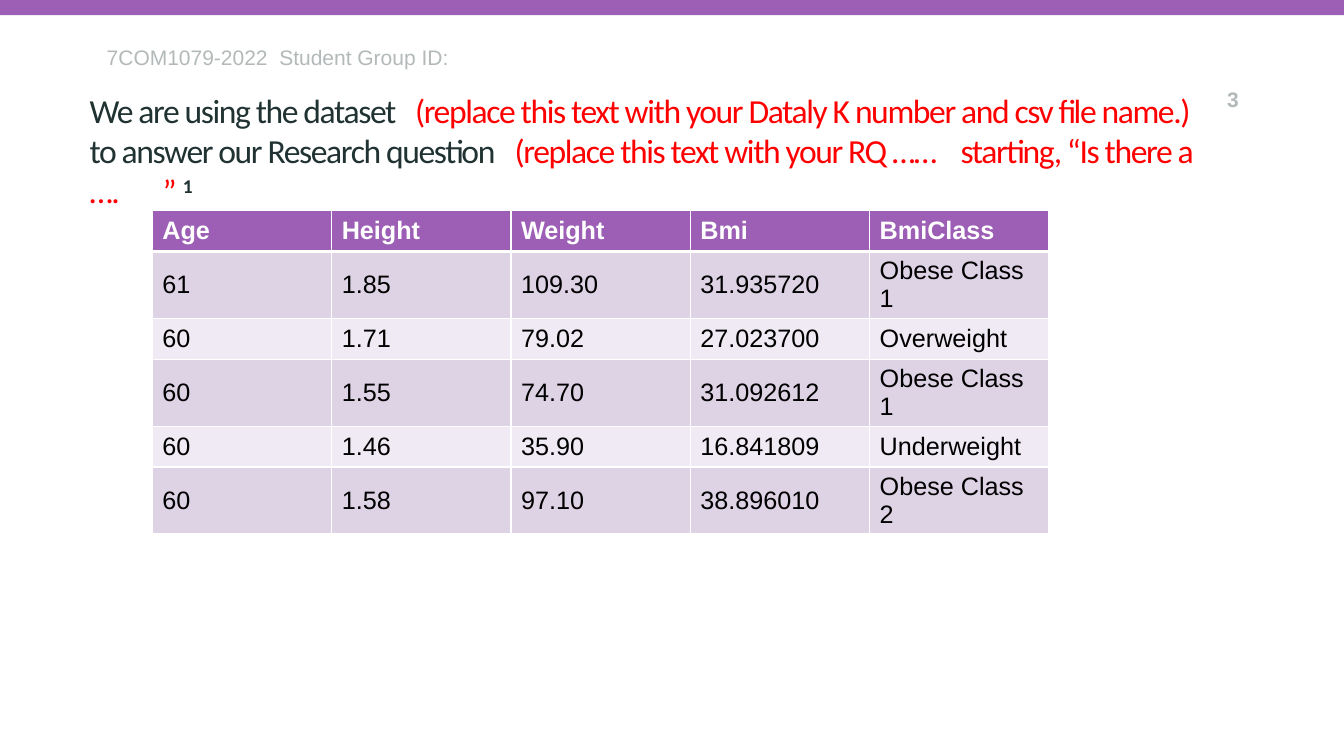
"""Builds the dataset slide with its research question and sample table."""
from lxml import etree
from pptx import Presentation
from pptx.dml.color import RGBColor
from pptx.enum.shapes import MSO_SHAPE
from pptx.enum.text import MSO_ANCHOR, PP_ALIGN
from pptx.oxml.ns import qn
from pptx.util import Cm, Pt

RECT = MSO_SHAPE.RECTANGLE
MIDDLE = MSO_ANCHOR.MIDDLE
LEFT, RIGHT = PP_ALIGN.LEFT, PP_ALIGN.RIGHT

PURPLE, LILAC, PALE = "9C5FB5", "DED2E5", "EFEAF3"
WHITE, BLACK, DARK, RED, GREY = "FFFFFF", "000000", "203232", "FF0000", "B3B9B9"

QUESTION = [
    ("We are using the dataset", DARK),
    ("\t(replace this text with your Dataly K number and csv file name.)", RED),
    (" to answer our Research question", DARK),
    ("\t(replace this text with your RQ ……\tstarting, “Is there a ….\t” ", RED),
]
QUESTION_TABS = [1.84, 8.2, 10.71, 21.95]

PATIENTS = [
    ["Age", "Height", "Weight", "Bmi", "BmiClass"],
    ["61", "1.85", "109.30", "31.935720", "Obese Class 1"],
    ["60", "1.71", "79.02", "27.023700", "Overweight"],
    ["60", "1.55", "74.70", "31.092612", "Obese Class 1"],
    ["60", "1.46", "35.90", "16.841809", "Underweight"],
    ["60", "1.58", "97.10", "38.896010", "Obese Class 2"],
]


def rgb(color):
    return RGBColor.from_string(color)


class Deck:
    font = "Arial"

    def __init__(self, width, height):
        self.prs = Presentation()
        self.prs.slide_width, self.prs.slide_height = Cm(width), Cm(height)
        self.slide = self.prs.slides.add_slide(self.prs.slide_layouts[6])

    def bar(self, x, y, w, h, color):
        sp = self.slide.shapes.add_shape(RECT, Cm(x), Cm(y), Cm(w), Cm(h))
        sp.shadow.inherit = False
        sp.fill.solid()
        sp.fill.fore_color.rgb = rgb(color)
        sp.line.fill.background()

    def text(self, x, y, w, h, align=LEFT):
        tf = self.slide.shapes.add_textbox(Cm(x), Cm(y), Cm(w), Cm(h)).text_frame
        tf.word_wrap = True
        tf.margin_left = tf.margin_top = tf.margin_right = tf.margin_bottom = 0
        p = tf.paragraphs[0]
        p.alignment = align
        return p

    def run(self, p, text, size, color, bold=False, font=None, **attrs):
        r = p.add_run()
        r.text = text
        r.font.name = font or self.font
        r.font.size = Pt(size)
        r.font.bold = bold
        r.font.color.rgb = rgb(color)
        for name, value in attrs.items():
            r.font._element.set(name, str(value))

    def tabs(self, p, stops):
        tab_list = etree.SubElement(p._p.get_or_add_pPr(), qn("a:tabLst"))
        for stop in stops:
            etree.SubElement(tab_list, qn("a:tab"), pos=str(Cm(stop)), algn="l")

    def border(self, cell, side, width):
        ln = etree.SubElement(cell._tc.get_or_add_tcPr(), qn(f"a:ln{side}"), w=str(Pt(width)))
        fill = etree.SubElement(ln, qn("a:solidFill"))
        etree.SubElement(fill, qn("a:srgbClr"), val=WHITE)

    def table(self, x, y, col_width, row_height, rows):
        n_rows, n_cols = len(rows), len(rows[0])
        table = self.slide.shapes.add_table(
            n_rows, n_cols, Cm(x), Cm(y), Cm(col_width * n_cols), Cm(row_height * n_rows)).table
        for col in table.columns:
            col.width = Cm(col_width)
        for i, row in enumerate(rows):
            table.rows[i].height = Cm(row_height)
            head = i == 0
            fill = PURPLE if head else LILAC if i % 2 else PALE
            for j, text in enumerate(row):
                cell = table.cell(i, j)
                cell.vertical_anchor = MIDDLE
                cell.margin_top = cell.margin_bottom = Cm(0.08)
                for side in "LRTB":
                    thick = (side == "B" and head) or (side == "T" and i == 1)
                    self.border(cell, side, 3 if thick else 1)
                cell.fill.solid()
                cell.fill.fore_color.rgb = rgb(fill)
                self.run(cell.text_frame.paragraphs[0], text, 18, WHITE if head else BLACK, head)


def main():
    deck = Deck(33.87, 19.05)
    deck.bar(0, 0, 33.87, 0.38, PURPLE)

    p = deck.text(2.26, 2.26, 28.1, 1.63)
    p.line_spacing = Pt(28.8)
    p.space_after = Pt(9.9)
    deck.tabs(p, QUESTION_TABS)
    for text, color in QUESTION:
        deck.run(p, text, 24, color, font="Calibri", spc=-100)
    deck.run(p, "1", 24, DARK, True, "Calibri", spc=-100, baseline=30000)

    p = deck.text(2.69, 1.12, 25.35, 0.64)
    deck.run(p, "7COM1079-2022  Student Group ID:", 15, GREY)
    p = deck.text(29.49, 2.18, 1.73, 0.64, RIGHT)
    deck.run(p, "3", 15, GREY, True)

    deck.table(3.84, 5.31, 4.52, 1.03, PATIENTS)
    deck.prs.save("out.pptx")


if __name__ == "__main__":
    main()
